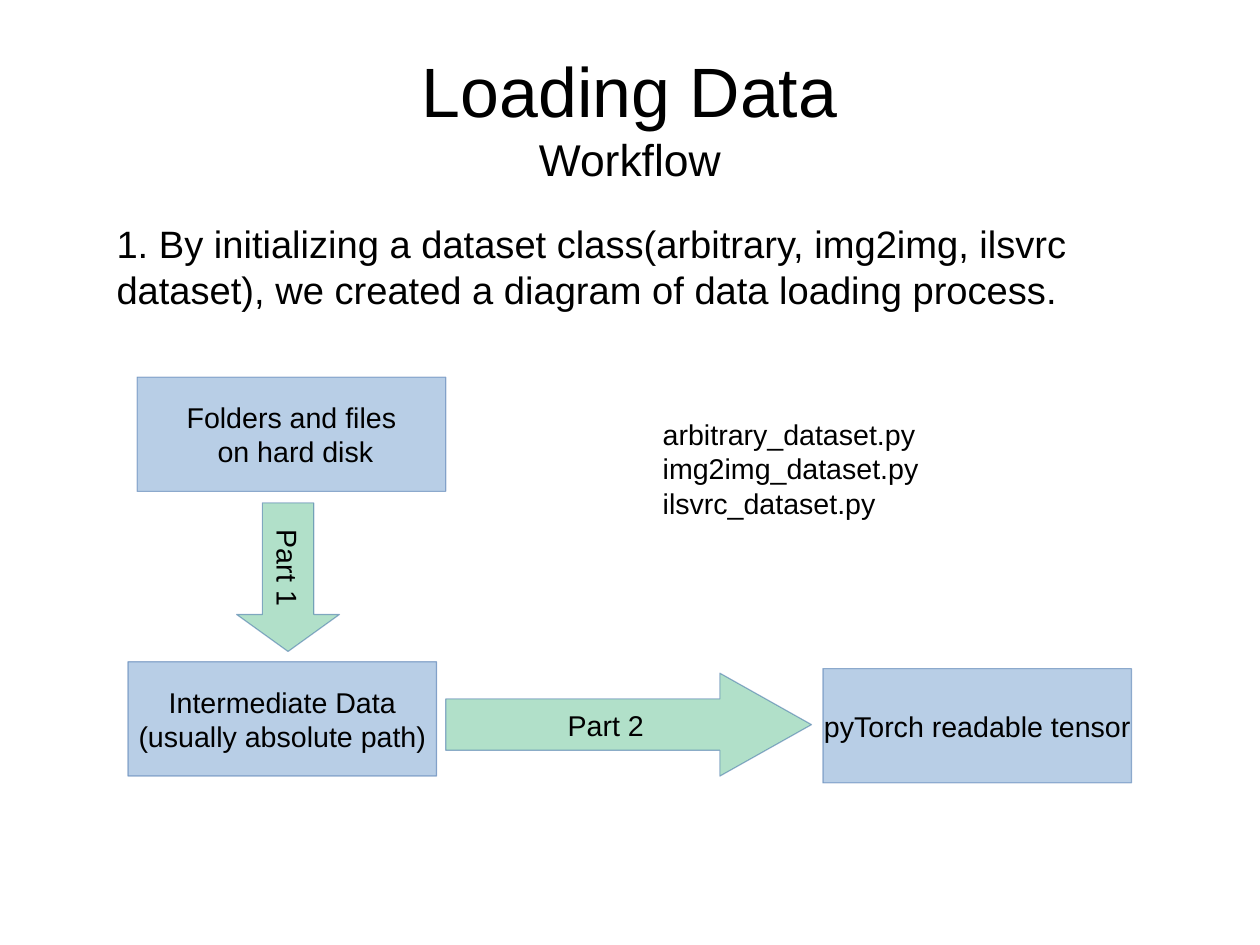
from dataclasses import dataclass

from lxml import etree
from pptx import Presentation
from pptx.dml.color import RGBColor
from pptx.enum.shapes import MSO_SHAPE
from pptx.enum.text import MSO_ANCHOR, MSO_AUTO_SIZE, PP_ALIGN
from pptx.oxml.ns import qn
from pptx.util import Inches, Pt

RECT, ARROW = MSO_SHAPE.RECTANGLE, MSO_SHAPE.RIGHT_ARROW
LEFT, CENTER = PP_ALIGN.LEFT, PP_ALIGN.CENTER
TOP, MIDDLE = MSO_ANCHOR.TOP, MSO_ANCHOR.MIDDLE


@dataclass(frozen=True)
class Theme:
    font: str = "Arial"
    ink: RGBColor = RGBColor(0, 0, 0)
    blue: RGBColor = RGBColor(0x72, 0x9F, 0xCF)
    green: RGBColor = RGBColor(0x65, 0xC2, 0x95)
    edge: RGBColor = RGBColor(0x34, 0x65, 0xA4)
    title: int = 44
    sub: int = 28
    body: int = 24
    label: int = 18


theme = Theme()


def write(frame, text, sizes=(theme.label,), align=LEFT, anchor=TOP,
          inset=(0.1, 0.05), wrap=False):
    """Newlines part paragraphs; a vertical tab breaks a line and takes the next size."""
    frame.auto_size = MSO_AUTO_SIZE.NONE
    frame.word_wrap = wrap
    frame.vertical_anchor = anchor
    frame.margin_left = frame.margin_right = Inches(inset[0])
    frame.margin_top = frame.margin_bottom = Inches(inset[1])
    for i, line in enumerate(text.split("\n")):
        para = frame.add_paragraph() if i else frame.paragraphs[0]
        para.alignment = align
        for j, (part, size) in enumerate(zip(line.split("\v"), sizes)):
            if j:
                para.add_line_break()
            run = para.add_run()
            run.text = part
            run.font.name = theme.font
            run.font.size = Pt(size)
            run.font.color.rgb = theme.ink


def fade(shape):
    """Make the fill and the outline half transparent."""
    for color in shape._element.spPr.iter(qn("a:srgbClr")):
        etree.SubElement(color, qn("a:alpha"), val="50000")


# Slide of 28 by 21 cm
deck = Presentation()
deck.slide_width, deck.slide_height = Inches(28 / 2.54), Inches(21 / 2.54)
slide = deck.slides.add_slide(deck.slide_layouts[5])
shapes = slide.shapes

# Title
title = shapes.title
title.left, title.top = Inches(0.55), Inches(0.33)
title.width, title.height = Inches(9.92), Inches(1.38)
write(title.text_frame, "Loading Data\vWorkflow", sizes=(theme.title, theme.sub),
      align=CENTER, anchor=MIDDLE, inset=(0, 0), wrap=True)

# Body text
body = shapes.add_textbox(Inches(0.55), Inches(1.93), Inches(9.92), Inches(4.79))
write(body.text_frame,
      "1. By initializing a dataset class(arbitrary, img2img, ilsvrc dataset), "
      "we created a diagram of data loading process.",
      sizes=(theme.body,), inset=(0, 0), wrap=True)
body.text_frame.margin_left = Inches(0.47)

# Data boxes and the arrows between them
steps = [
    (RECT, theme.blue, 1.2, 3.3, 2.7, 1, 0, None, "Folders and files\n on hard disk"),
    (RECT, theme.blue, 1.12, 5.79, 2.7, 1, 0, None,
     "Intermediate Data\n(usually absolute path)"),
    (RECT, theme.blue, 7.2, 5.85, 2.7, 1, 0, None, "pyTorch readable tensor"),
    (ARROW, theme.green, 3.9, 5.89, 3.2, 0.9, 0, 0.89, "Part 2"),
    (ARROW, theme.green, 1.87, 4.6, 1.3, 0.9, 90, 0.36, "Part 1"),
]
for kind, fill, x, y, w, h, turn, head, text in steps:
    step = shapes.add_shape(kind, Inches(x), Inches(y), Inches(w), Inches(h))
    step.rotation = turn
    step.shadow.inherit = False
    if head:
        step.adjustments[1] = head
    step.fill.solid()
    step.fill.fore_color.rgb = fill
    step.line.color.rgb = theme.edge
    step.line.width = Pt(0)
    fade(step)
    write(step.text_frame, text, align=CENTER, anchor=MIDDLE)

# Dataset files
files = shapes.add_textbox(Inches(5.7), Inches(3.6), Inches(2.44), Inches(0.94))
write(files.text_frame, "arbitrary_dataset.py\nimg2img_dataset.py\nilsvrc_dataset.py")

deck.save("out.pptx")
